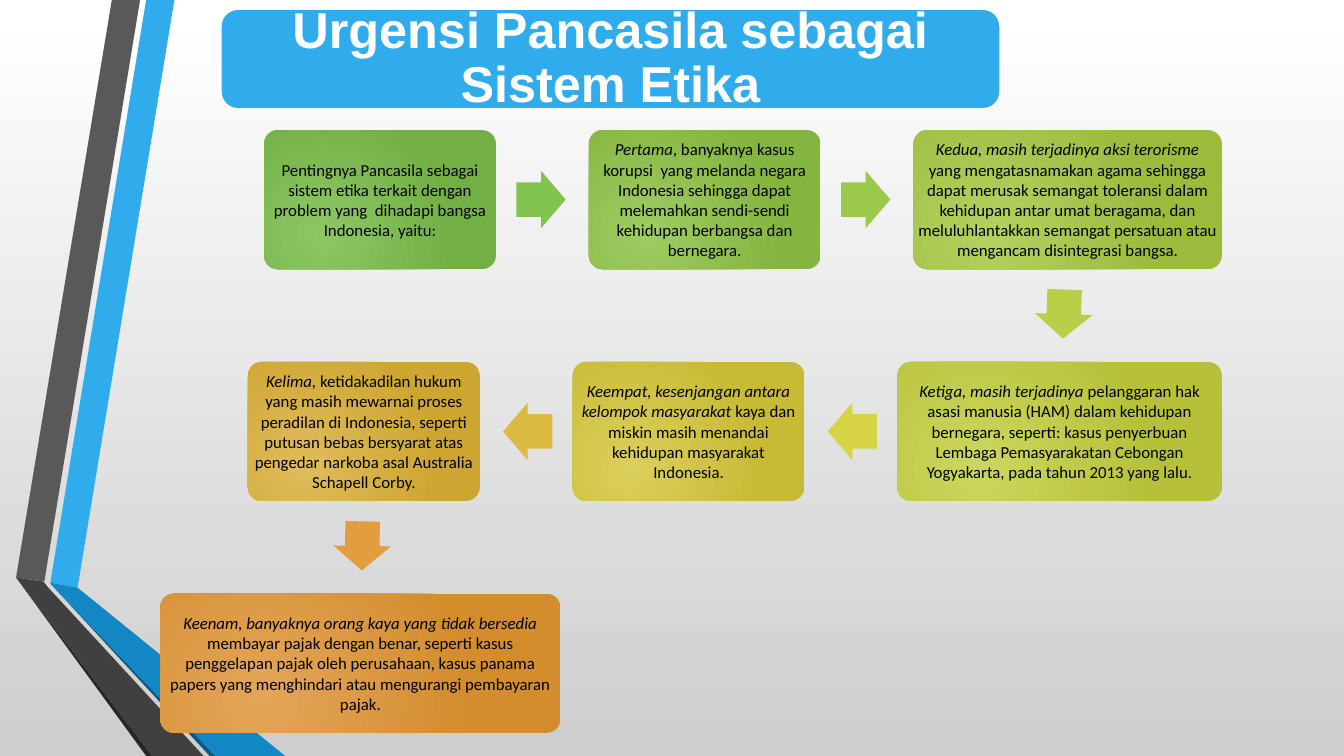
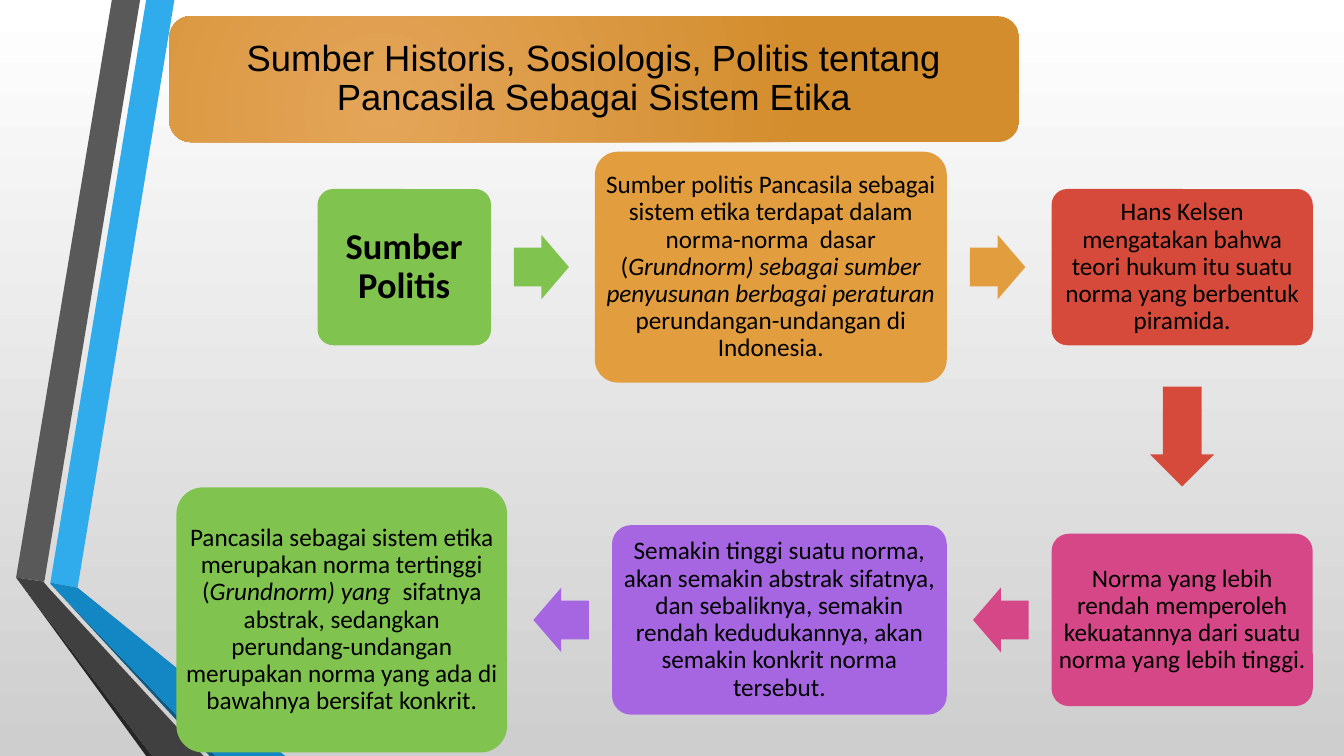
from dataclasses import dataclass
from math import atan2, degrees

from lxml import etree
from pptx import Presentation
from pptx.dml.color import RGBColor
from pptx.enum.shapes import MSO_SHAPE as SHAPE
from pptx.enum.text import MSO_ANCHOR as ANCHOR, PP_ALIGN as ALIGN
from pptx.oxml.ns import qn
from pptx.util import Inches, Pt

# Colours
WHITE = RGBColor(0xFF, 0xFF, 0xFF)
BLACK = RGBColor(0x00, 0x00, 0x00)
SILVER = RGBColor(0xCE, 0xCE, 0xCE)
GREY = RGBColor(0x59, 0x59, 0x59)
DARK_GREY = RGBColor(0x40, 0x40, 0x40)
CHARCOAL = RGBColor(0x26, 0x26, 0x26)
BLUE = RGBColor(0x30, 0xAC, 0xEC)
MID_BLUE = RGBColor(0x12, 0x87, 0xC3)
DEEP_BLUE = RGBColor(0x0C, 0x5A, 0x82)
GREEN = RGBColor(0x80, 0xC3, 0x4F)
LEAF = RGBColor(0x9A, 0xC9, 0x4B)
LIME = RGBColor(0xB8, 0xD0, 0x48)
YELLOW = RGBColor(0xD6, 0xD3, 0x44)
GOLD = RGBColor(0xDC, 0xBA, 0x41)
ORANGE = RGBColor(0xE2, 0x9D, 0x3E)
RED = RGBColor(0xD6, 0x4A, 0x3B)
PINK = RGBColor(0xD6, 0x47, 0x87)
PURPLE = RGBColor(0xA6, 0x66, 0xE1)

# Gradients, centre to edge
GREEN_GLOW = RGBColor(0x8C, 0xC7, 0x64), RGBColor(0x72, 0xAF, 0x45)
LEAF_GLOW = RGBColor(0x9E, 0xCC, 0x62), RGBColor(0x85, 0xB5, 0x41)
LIME_GLOW = RGBColor(0xB4, 0xD1, 0x60), RGBColor(0x9C, 0xBB, 0x3D)
OLIVE_GLOW = RGBColor(0xCC, 0xD6, 0x5E), RGBColor(0xB6, 0xC1, 0x39)
YELLOW_GLOW = RGBColor(0xDB, 0xCF, 0x5C), RGBColor(0xC7, 0xBA, 0x35)
GOLD_GLOW = RGBColor(0xE0, 0xBB, 0x5B), RGBColor(0xCD, 0xA6, 0x31)
ORANGE_GLOW = RGBColor(0xE4, 0xA5, 0x59), RGBColor(0xD3, 0x8D, 0x2D)

# Folded ribbons at the left edge, back to front
RIBBONS = [
    (BLUE, [(0.5, 5.78), (0.77, 5.83), (1.73, 0), (1.45, 0)]),
    (GREY, [(1.39, 0), (1.11, 0), (0.16, 5.73), (0.44, 5.77)]),
    (CHARCOAL, [(0.16, 5.73), (1.45, 7.5), (1.51, 7.5)]),
    (DEEP_BLUE, [(0.5, 5.79), (2.08, 7.5), (2.14, 7.5)]),
    (MID_BLUE, [(0.5, 5.79), (2.14, 7.5), (2.83, 7.5), (0.77, 5.83), (0.5, 5.78)]),
    (DARK_GREY, [(2.02, 7.5), (0.48, 5.83), (0.43, 5.77), (0.16, 5.73), (1.51, 7.5)]),
]


@dataclass
class Box:
    """A rounded box, placed by its left edge and its middle height."""
    left: float
    mid: float
    width: float
    height: float
    fill: object
    text: str  # *...* marks italics
    size: int = 18
    bold: bool = False
    color: RGBColor = BLACK
    font: str = "Calibri"
    inset: float = 0.07
    spacing: float = 0.9
    corner: float = 0.1

    @property
    def center(self):
        return self.left + self.width / 2


def paint(sp, fill):
    """Fill with one colour, or with a (centre, edge) pair."""
    sp.shadow.inherit = False
    sp.line.fill.background()
    if isinstance(fill, RGBColor):
        sp.fill.solid()
        sp.fill.fore_color.rgb = fill
        return
    sp.fill.gradient()
    for stop, color in zip(sp.fill.gradient_stops, fill):
        stop.color.rgb = color
    grad = sp.element.spPr.find(qn("a:gradFill"))
    grad.remove(grad.find(qn("a:lin")))
    path = etree.SubElement(grad, qn("a:path"))
    path.set("path", "circle")
    rect = etree.SubElement(path, qn("a:fillToRect"))
    for side, share in zip("ltrb", (50, 100, 100, 50)):
        rect.set(side, str(share * 1000))


def add_ribbons(s):
    for color, points in RIBBONS:
        start, *rest = [(Inches(x), Inches(y)) for x, y in points]
        builder = s.shapes.build_freeform(*start)
        builder.add_line_segments(rest, close=True)
        paint(builder.convert_to_shape(), color)


def add_box(s, box):
    sp = s.shapes.add_shape(
        SHAPE.ROUNDED_RECTANGLE, Inches(box.left), Inches(box.mid - box.height / 2),
        Inches(box.width), Inches(box.height))
    sp.adjustments[0] = box.corner
    paint(sp, box.fill)
    tf = sp.text_frame
    tf.word_wrap = True
    tf.vertical_anchor = ANCHOR.MIDDLE
    # The rounded corners already push the text inwards
    corner_inset = 0.29 * box.corner * min(box.width, box.height)
    tf.margin_left = tf.margin_right = Inches(max(0, box.inset - corner_inset))
    tf.margin_top = tf.margin_bottom = 0
    p = tf.paragraphs[0]
    p.alignment = ALIGN.CENTER
    p.line_spacing = box.spacing
    for i, part in enumerate(box.text.split("*")):
        if part:
            r = p.add_run()
            r.text = part
            r.font.name = box.font
            r.font.size = Pt(box.size)
            r.font.bold = box.bold
            r.font.italic = i % 2 == 1
            r.font.color.rgb = box.color
    return sp


def add_arrow(s, a, b, thickness, color):
    """Block arrow in the gap between two boxes, along their centre line."""
    dx, dy = b.center - a.center, b.mid - a.mid
    if abs(dx) > abs(dy):
        gap = abs(dx) - (a.width + b.width) / 2
        edge, step = a.width / 2, abs(dx)
    else:
        gap = abs(dy) - (a.height + b.height) / 2
        edge, step = a.height / 2, abs(dy)
    share = (edge + 0.485 * gap) / step
    x, y = a.center + share * dx, a.mid + share * dy
    length = 0.53 * gap
    sp = s.shapes.add_shape(
        SHAPE.RIGHT_ARROW, Inches(x - length / 2), Inches(y - thickness / 2),
        Inches(length), Inches(thickness))
    sp.adjustments[0], sp.adjustments[1] = 0.6, 0.5
    sp.rotation = round(degrees(atan2(dy, dx)), 1)
    paint(sp, color)


def add_flow(s, boxes, thickness, arrow_colors):
    for box in boxes:
        add_box(s, box)
    for a, b, color in zip(boxes, boxes[1:], arrow_colors):
        add_arrow(s, a, b, thickness, color)


def add_slide(prs):
    s = prs.slides.add_slide(prs.slide_layouts[6])
    add_ribbons(s)
    return s


def set_background(prs):
    fill = prs.slide_master.background.fill
    fill.gradient()
    fill.gradient_angle = 270
    for stop, color in zip(fill.gradient_stops, (WHITE, SILVER)):
        stop.color.rgb = color


def urgency_slide(prs):
    s = add_slide(prs)
    title = add_box(s, Box(2.19, 0.585, 7.73, 0.99, BLUE,
                           "Urgensi Pancasila sebagai Sistem Etika", size=36, bold=True,
                           color=WHITE, font="Arial", inset=0.15, corner=0.17))
    title.line.color.rgb = WHITE
    title.line.width = Pt(1.25)

    # Left edge, row, width, fill, text
    steps = [
        (2.62, 0, 2.3, GREEN_GLOW,
         "Pentingnya Pancasila sebagai sistem etika terkait dengan problem yang  "
         "dihadapi bangsa Indonesia, yaitu:"),
        (5.84, 0, 2.3, LEAF_GLOW,
         "*Pertama*, banyaknya kasus korupsi  yang melanda negara Indonesia sehingga "
         "dapat melemahkan sendi-sendi kehidupan berbangsa dan bernegara."),
        (9.06, 0, 3.06, LIME_GLOW,
         "*Kedua, masih terjadinya aksi terorisme *yang mengatasnamakan agama sehingga "
         "dapat merusak semangat toleransi dalam kehidupan antar umat beragama, dan "
         "meluluhlantakkan semangat persatuan atau mengancam disintegrasi bangsa."),
        (8.9, 1, 3.22, OLIVE_GLOW,
         "*Ketiga, masih terjadinya *pelanggaran hak asasi manusia (HAM) dalam kehidupan "
         "bernegara, seperti: kasus penyerbuan Lembaga Pemasyarakatan Cebongan "
         "Yogyakarta, pada tahun 2013 yang lalu."),
        (5.68, 1, 2.3, YELLOW_GLOW,
         "*Keempat, kesenjangan antara kelompok masyarakat *kaya dan miskin masih "
         "menandai kehidupan masyarakat Indonesia."),
        (2.46, 1, 2.3, GOLD_GLOW,
         "*Kelima, *ketidakadilan hukum yang masih mewarnai proses peradilan di "
         "Indonesia, seperti putusan bebas bersyarat atas pengedar narkoba asal "
         "Australia Schapell Corby."),
        (1.59, 2, 3.97, ORANGE_GLOW,
         "*Keenam, banyaknya orang kaya yang tidak bersedia *membayar pajak dengan "
         "benar, seperti kasus penggelapan pajak oleh perusahaan, kasus panama papers "
         "yang menghindari atau mengurangi pembayaran pajak."),
    ]
    boxes = [Box(left, 1.98 + 2.3 * row, width, 1.38, fill, text,
                 size=12, inset=0.05, spacing=1.0)
             for left, row, width, fill, text in steps]
    add_flow(s, boxes, 0.57, [GREEN, LEAF, LIME, YELLOW, GOLD, ORANGE])


def sources_slide(prs):
    s = add_slide(prs)
    add_box(s, Box(1.68, 0.785, 8.43, 1.25, ORANGE_GLOW,
                   "Sumber Historis, Sosiologis, Politis tentang Pancasila Sebagai "
                   "Sistem Etika", size=26, font="Arial", inset=0.38, corner=0.17))

    top, bottom = 2.65, 6.15
    boxes = [
        Box(3.15, top, 1.72, 1.55, GREEN, "Sumber Politis",
            size=26, bold=True, inset=0.11),
        Box(5.9, top, 3.49, 2.29, ORANGE,
            "Sumber politis Pancasila sebagai sistem etika terdapat dalam norma-norma  "
            "dasar (*Grundnorm) sebagai sumber penyusunan berbagai peraturan "
            "*perundangan-undangan di Indonesia."),
        Box(10.43, top, 2.59, 1.55, RED,
            "Hans Kelsen mengatakan bahwa teori hukum itu suatu norma yang berbentuk "
            "piramida."),
        Box(10.43, bottom, 2.59, 1.71, PINK,
            "Norma yang lebih rendah memperoleh kekuatannya dari suatu norma yang lebih "
            "tinggi."),
        Box(6.07, bottom, 3.32, 1.88, PURPLE,
            "Semakin tinggi suatu norma, akan semakin abstrak sifatnya, dan sebaliknya, "
            "semakin rendah kedudukannya, akan semakin konkrit norma tersebut."),
        Box(1.75, bottom, 3.28, 2.63, GREEN,
            "Pancasila sebagai sistem etika merupakan norma tertinggi (*Grundnorm) yang  "
            "*sifatnya abstrak, sedangkan perundang-undangan merupakan norma yang ada di "
            "bawahnya bersifat konkrit."),
    ]
    add_flow(s, boxes, 0.64, [box.fill for box in boxes])


def main():
    prs = Presentation()
    prs.slide_width, prs.slide_height = Inches(13.33), Inches(7.5)
    set_background(prs)
    urgency_slide(prs)
    sources_slide(prs)
    prs.save("out.pptx")


if __name__ == "__main__":
    main()
